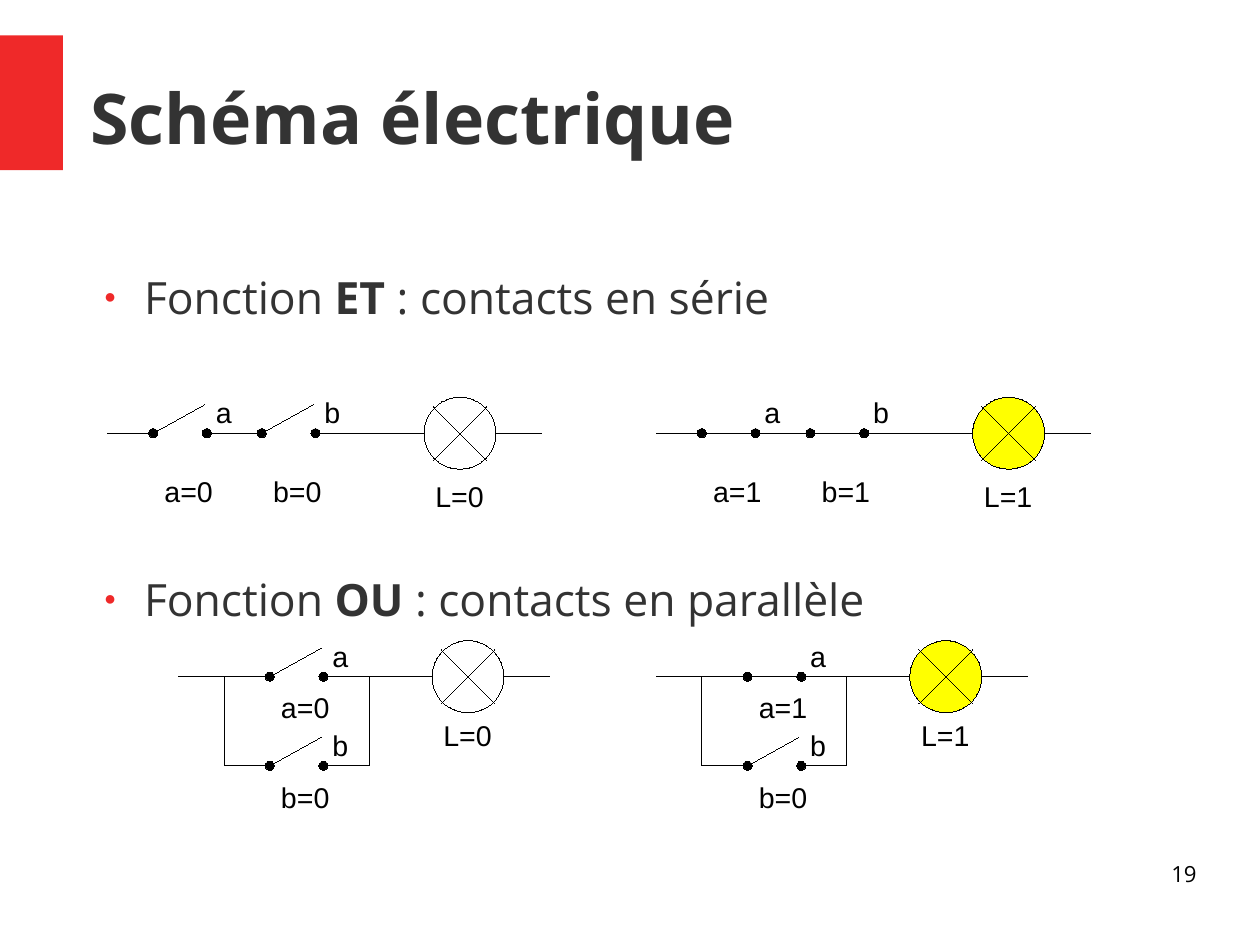
from dataclasses import dataclass

from lxml import etree
from pptx import Presentation
from pptx.dml.color import RGBColor
from pptx.enum.shapes import MSO_CONNECTOR, MSO_SHAPE
from pptx.enum.text import MSO_ANCHOR, MSO_AUTO_SIZE, PP_ALIGN
from pptx.oxml.ns import qn
from pptx.slide import Slide
from pptx.text.text import TextFrame
from pptx.util import Inches, Pt

STRAIGHT = MSO_CONNECTOR.STRAIGHT
OVAL, RECT = MSO_SHAPE.OVAL, MSO_SHAPE.RECTANGLE
MIDDLE, TOP = MSO_ANCHOR.MIDDLE, MSO_ANCHOR.TOP
FIT_SHAPE = MSO_AUTO_SIZE.SHAPE_TO_FIT_TEXT
RIGHT = PP_ALIGN.RIGHT

COLORS = {"accent": "EF2929", "text": "333333", "ink": "000000", "lit": "FFFF00"}
HEADING, LABEL = "Open Sans", "Arial"
CM_PER_INCH = 2.54

# Circuit dimensions, in inches
LEAD, GAP, DOT = 0.4, 0.47, 0.08
SERIES_STEP, PARALLEL_STEP = 0.95, 0.78
LAMP_OFFSET, LAMP_WIRE, LAMP_SIZE, LAMP_INSET = 1.42, 0.55, 0.63, 0.08


@dataclass
class Circuit:
    x: float  # left contact of the first switch
    y: float  # height of the main wire
    a: int
    b: int
    parallel: bool

    @property
    def lamp(self) -> int:
        return self.a | self.b if self.parallel else self.a & self.b


CIRCUITS = [
    Circuit(1.34, 3.79, 0, 0, False),
    Circuit(6.14, 3.79, 1, 1, False),
    Circuit(2.36, 5.92, 0, 0, True),
    Circuit(6.54, 5.92, 1, 0, True),
]


def color(name: str) -> RGBColor:
    return RGBColor.from_string(COLORS[name])


def add_frame(s: Slide, x: float, y: float, w: float, h: float,
              inset: bool = False) -> TextFrame:
    tf = s.shapes.add_textbox(Inches(x), Inches(y), Inches(w), Inches(h)).text_frame
    tf.word_wrap = True
    tf.vertical_anchor = TOP
    if not inset:
        tf.margin_left = tf.margin_right = tf.margin_top = tf.margin_bottom = 0
    return tf


def add_run(p, text: str, size: float, font: str, fill: str, bold: bool = False) -> None:
    r = p.add_run()
    r.text = text
    r.font.size, r.font.name, r.font.bold = Pt(size), font, bold
    r.font.color.rgb = color(fill)


def add_label(s: Slide, text: str, x: float, y: float, w: float) -> None:
    tf = add_frame(s, x, y, w, 0.38, inset=True)
    tf.word_wrap = False
    tf.auto_size = FIT_SHAPE
    add_run(tf.paragraphs[0], text, 18, LABEL, "ink")


def set_hairline(sp) -> None:
    """Zero width only holds once the theme style is gone."""
    sp.line.color.rgb = color("ink")
    sp.line.width = Pt(0)
    sp._element.remove(sp._element.find(qn("p:style")))


def add_wire(s: Slide, x1: float, y1: float, x2: float, y2: float) -> None:
    wire = s.shapes.add_connector(STRAIGHT, Inches(x1), Inches(y1), Inches(x2), Inches(y2))
    set_hairline(wire)
    etree.SubElement(wire._element.spPr, qn("a:effectLst"))


def add_circle(s: Slide, x: float, y: float, size: float, fill: str | None) -> None:
    sp = s.shapes.add_shape(OVAL, Inches(x), Inches(y), Inches(size), Inches(size))
    sp.shadow.inherit = False
    set_hairline(sp)
    if fill:
        sp.fill.solid()
        sp.fill.fore_color.rgb = color(fill)
    else:
        sp.fill.background()


def add_switch(s: Slide, x: float, y: float, name: str, closed: int, caption_dy: float) -> None:
    add_wire(s, x - LEAD, y, x, y)
    add_wire(s, x + GAP, y, x + GAP + LEAD, y)
    add_wire(s, x, y, x + 0.45, y if closed else y - 0.25)
    for contact in (x, x + GAP):
        add_circle(s, contact - DOT / 2, y - DOT / 2, DOT, "ink")
    add_label(s, name, x + 0.45, y - 0.38, 0.34)
    add_label(s, f"{name}={closed}", x, y + caption_dy, 0.65)


def add_lamp(s: Slide, x: float, y: float, lit: int, caption_dy: float) -> None:
    add_wire(s, x - LAMP_WIRE, y, x, y)
    add_wire(s, x + LAMP_SIZE, y, x + LAMP_SIZE + LEAD, y)
    add_circle(s, x, y - LAMP_SIZE / 2, LAMP_SIZE, "lit" if lit else None)
    left, right = x + LAMP_INSET, x + LAMP_SIZE - LAMP_INSET
    arm = LAMP_SIZE / 2 - LAMP_INSET
    for dy in (arm, -arm):
        add_wire(s, left, y + dy, right, y - dy)
    add_label(s, f"L={lit}", x, y + caption_dy, 0.71)


def add_circuit(s: Slide, c: Circuit) -> None:
    if c.parallel:
        last_x, last_y = c.x, c.y + PARALLEL_STEP
        left, right = c.x - LEAD, c.x + GAP + LEAD
        add_wire(s, left - LEAD, c.y, left, c.y)
        for rail in (left, right):
            add_wire(s, rail, c.y, rail, last_y)
    else:
        last_x, last_y = c.x + SERIES_STEP, c.y
    caption_dy = 0.07 if c.parallel else 0.31
    add_switch(s, c.x, c.y, "a", c.a, caption_dy)
    add_switch(s, last_x, last_y, "b", c.b, caption_dy)
    add_lamp(s, last_x + LAMP_OFFSET, c.y, c.lamp, 0.31 if c.parallel else 0.35)


def add_bullet(p) -> None:
    pPr = p._p.get_or_add_pPr()
    pPr.set("marL", str(Inches(0.47)))
    pPr.set("indent", str(Inches(-0.35)))
    clr = etree.SubElement(pPr, qn("a:buClr"))
    etree.SubElement(clr, qn("a:srgbClr"), val=COLORS["accent"])
    etree.SubElement(pPr, qn("a:buSzPct"), val="45000")
    etree.SubElement(pPr, qn("a:buFont"), typeface=LABEL)
    etree.SubElement(pPr, qn("a:buChar"), char="●")


def main() -> None:
    prs = Presentation()
    prs.slide_width = Inches(28 / CM_PER_INCH)
    prs.slide_height = Inches(21 / CM_PER_INCH)
    s = prs.slides.add_slide(prs.slide_layouts[6])

    # Title and accent block
    sp = s.shapes.add_shape(RECT, 0, Inches(0.31), Inches(0.55), Inches(1.18))
    sp.shadow.inherit = False
    sp.fill.solid()
    sp.fill.fore_color.rgb = color("accent")
    sp.line.fill.background()
    tf = add_frame(s, 0.79, 0.33, 9.68, 1.38)
    tf.vertical_anchor = MIDDLE
    add_run(tf.paragraphs[0], "Schéma électrique", 44, HEADING, "text", True)

    # Bullets, spaced to leave room for the series circuits
    tf = add_frame(s, 0.79, 2.36, 9.45, 4.8)
    functions = [("ET ", ": contacts en série"), ("OU ", ": contacts en parallèle")]
    for i, (name, wiring) in enumerate(functions):
        p = tf.add_paragraph() if i else tf.paragraphs[0]
        if i:
            p.space_before = Pt(157)
        add_bullet(p)
        for text, bold in (("Fonction ", False), (name, True), (wiring, False)):
            add_run(p, text, 28, HEADING, "text", bold)

    # Circuits
    for circuit in CIRCUITS:
        add_circuit(s, circuit)

    # Page number
    p = add_frame(s, 7.9, 7.53, 2.57, 0.57).paragraphs[0]
    p.alignment = RIGHT
    add_run(p, "19", 14, HEADING, "ink")

    prs.save("out.pptx")


if __name__ == "__main__":
    main()
